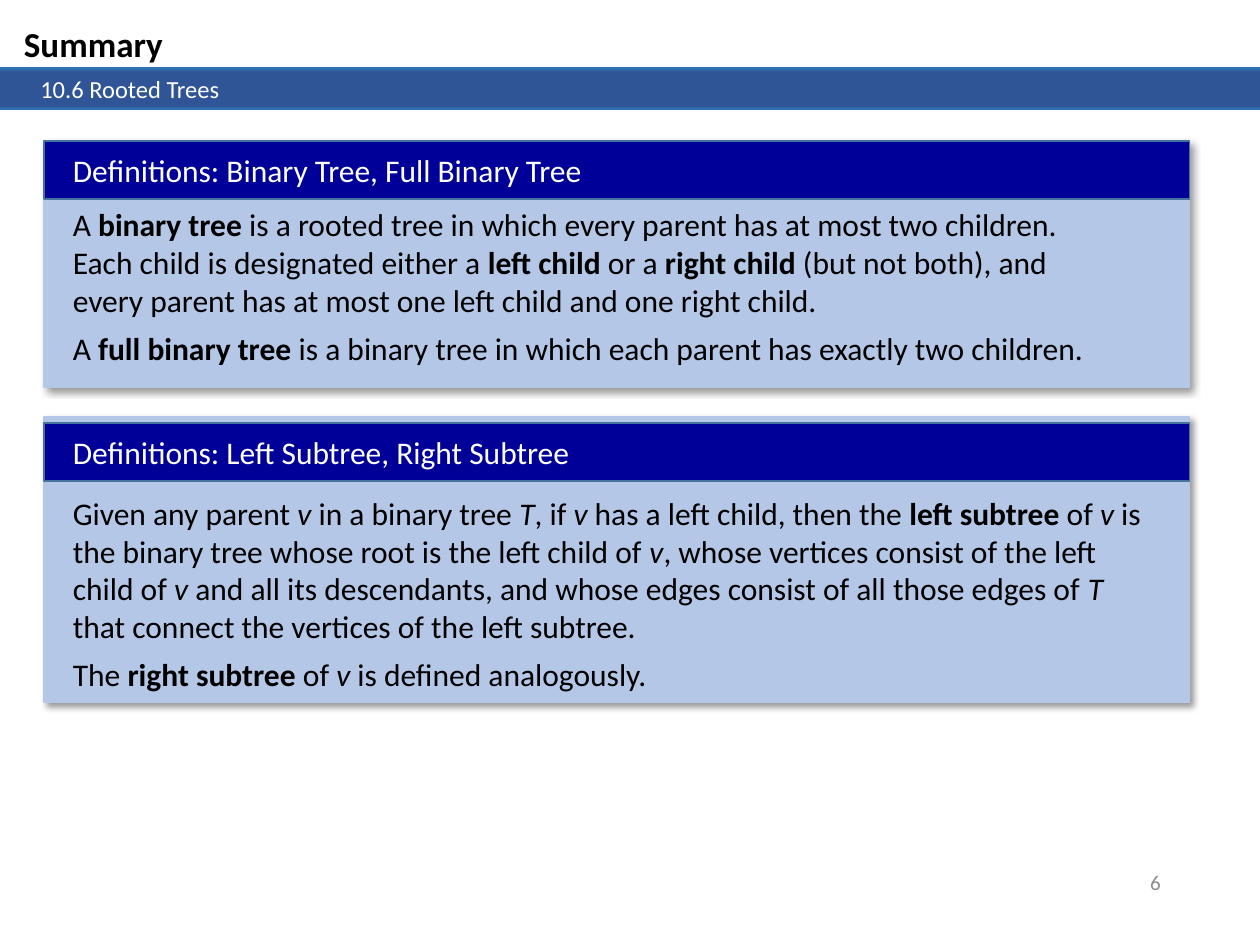
from copy import deepcopy
from lxml.etree import SubElement
from pptx import Presentation
from pptx.dml.color import RGBColor
from pptx.enum.shapes import MSO_SHAPE as Kind
from pptx.enum.text import MSO_ANCHOR as Anchor, MSO_AUTO_SIZE as Auto, PP_ALIGN as Align
from pptx.oxml.ns import qn
from pptx.util import Inches, Pt

hue = RGBColor.from_string


def rect(shapes, top, height, fill, line):
    box = shapes.add_shape(Kind.RECTANGLE, Inches(0.35), Inches(top), Inches(9.09), Inches(height))
    box.shadow.inherit = False
    box.fill.solid()
    box.fill.fore_color.rgb = hue(fill)
    box.line.color.rgb = hue(line)
    box.line.width = Pt(1)
    return box


def write(frame, texts, size, color, after=0):
    frame.word_wrap = True
    for n, text in enumerate(texts):
        para = frame.paragraphs[0] if n == 0 else frame.add_paragraph()
        para.alignment = Align.LEFT
        para.space_after = Pt(after)
        para.font.name = "Calibri"
        para.font.size = Pt(size)
        para.font.color.rgb = hue(color)
        for i, part in enumerate(text.split("*")):
            for j, bit in enumerate(part.split("_")):
                if bit:
                    run = para.add_run()
                    run.text = bit
                    if i % 2:
                        run.font.bold = True
                    if j % 2:
                        run.font.italic = True


deck = Presentation()
deck.slide_width, deck.slide_height = Inches(10), Inches(7.5)
slide = deck.slides.add_slide(deck.slide_layouts[5])

stops = [(0, "2E75B6"), (0.11, "2F5597"), (0.91, "2F5597"), (1, "2E75B6")]
for top, height in [(0.53, 0.3), (0.54, 0.33)]:
    bar = slide.shapes.add_shape(Kind.RECTANGLE, 0, Inches(top), Inches(10), Inches(height))
    bar.shadow.inherit = False
    bar.line.fill.background()
    bar.fill.gradient()
    bar.fill.gradient_angle = 270
    ramp = bar.element.spPr.find(qn("a:gradFill")).find(qn("a:gsLst"))
    for stop in list(ramp):
        ramp.append(deepcopy(stop))
    for stop, (place, color) in zip(bar.fill.gradient_stops, stops):
        stop.position = place
        stop.color.rgb = hue(color)
bar.text_frame.margin_left = Inches(0.32)
bar.text_frame.margin_top = bar.text_frame.margin_bottom = 0
write(bar.text_frame, ["10.6 Rooted Trees"], 14, "FFFFFF")

title = slide.shapes.title
title.left, title.top, title.width, title.height = map(Inches, (0.09, 0.13, 2.69, 0.44))
title.text_frame.auto_size = Auto.NONE
title.text_frame.vertical_anchor = Anchor.TOP
write(title.text_frame, ["Summary"], 20, "000000")
title.text_frame.paragraphs[0].font.bold = True

cards = [
    (1.12, 1.95, 1.12, 1.58, 8.46, 1.4, "Definitions: Binary Tree, Full Binary Tree", [
        "A *binary tree *is a rooted tree in which every parent has at most two children. "
        "Each child is designated either a *left child* or a *right child* (but not both), "
        "and every parent has at most one left child and one right child.",
        "A *full binary tree* is a binary tree in which each parent has exactly two children.",
    ]),
    (3.31, 2.26, 3.36, 3.87, 8.79, 1.7, "Definitions: Left Subtree, Right Subtree", [
        "Given any parent _v_ in a binary tree _T_, if _v_ has a left child, then the "
        "*left subtree *of _v_ is the binary tree whose root is the left child of _v_, "
        "whose vertices consist of the left child of _v_ and all its descendants, and whose "
        "edges consist of all those edges of _T_ that connect the vertices of the left subtree.",
        "The *right subtree *of _v_ is defined analogously.",
    ]),
]
for top, height, head, body, width, depth, name, texts in cards:
    group = slide.shapes.add_group_shape().shapes
    panel = rect(group, top, height, "B4C7E7", "B4C7E7")
    glow = panel.element.spPr.find(qn("a:effectLst"))
    shade = SubElement(glow, qn("a:outerShdw"), blurRad=str(Pt(4)), dist=str(Pt(3)),
                       dir="2700000", algn="tl", rotWithShape="0")
    tint = SubElement(shade, qn("a:srgbClr"), val="000000")
    SubElement(tint, qn("a:alpha"), val="40000")
    rect(group, head, 0.46, "000099", "43739E")
    label = group.add_textbox(Inches(0.48), Inches(head + 0.03), Inches(7.18), Inches(0.4))
    write(label.text_frame, [name], 18, "FFFFFF")
    prose = group.add_textbox(Inches(0.48), Inches(body), Inches(width), Inches(depth))
    write(prose.text_frame, texts, 18, "000000", 6)

page = slide.shapes.add_textbox(Inches(7.06), Inches(6.8), Inches(2.25), Inches(0.4))
page.text_frame.vertical_anchor = Anchor.MIDDLE
write(page.text_frame, ["6"], 12, "8C8C8C")
page.text_frame.paragraphs[0].alignment = Align.RIGHT

deck.save("out.pptx")
